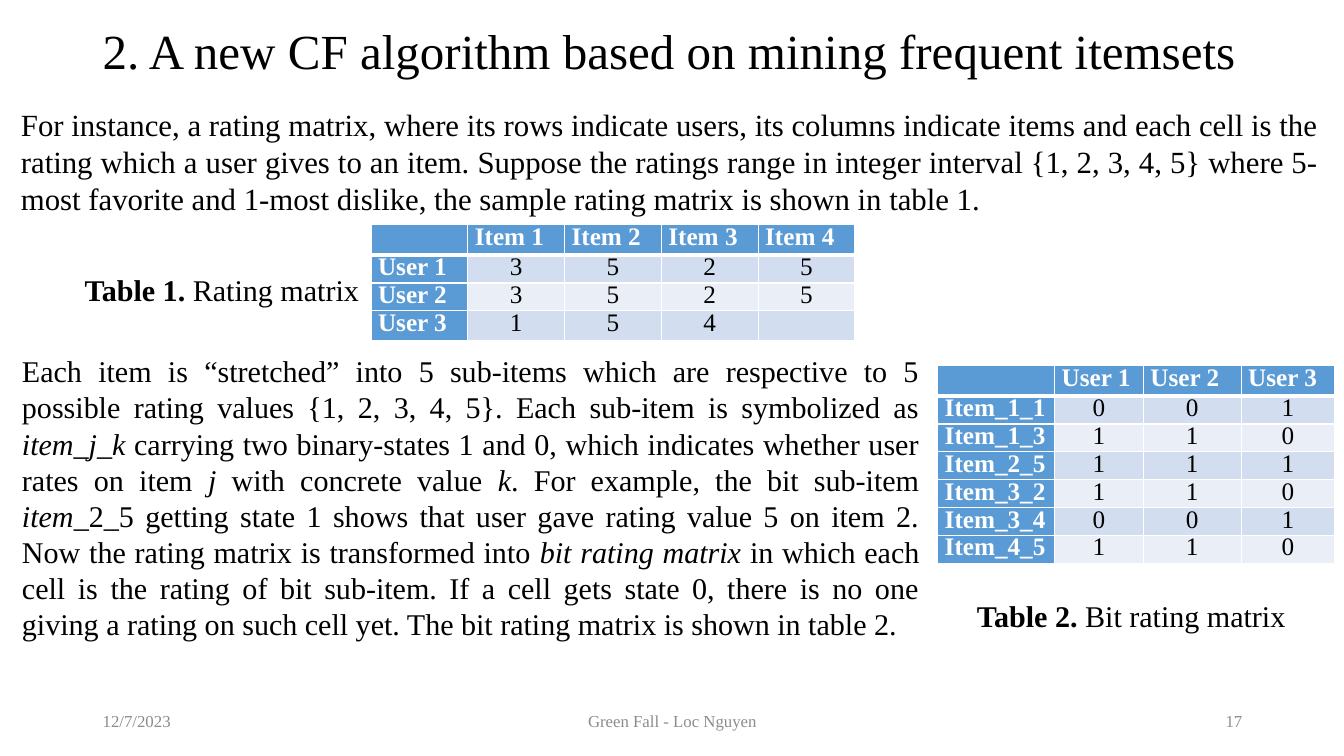
"""Build a slide on rating matrices for a collaborative filtering algorithm."""
import lxml.etree
import pptx
import pptx.dml.color
import pptx.enum.text
import pptx.oxml.ns
import pptx.util

Inches = pptx.util.Inches
Pt = pptx.util.Pt
Align = pptx.enum.text.PP_ALIGN
Anchor = pptx.enum.text.MSO_ANCHOR
qn = pptx.oxml.ns.qn
FONT = "Times New Roman"
HEADER_FILL, ODD_FILL, EVEN_FILL = "5B9BD5", "D2DEEF", "EAEFF7"
ROW_HEIGHT = 0.27


def rgb(value):
    return pptx.dml.color.RGBColor.from_string(value)


def write(frame, text, size, color="000000", align=Align.LEFT, anchor=Anchor.TOP,
          bold=False, marked="italic", spacing=1.0, wrap=True):
    """Fill a frame; parts between bars get the marked style."""
    frame.word_wrap = wrap
    frame.vertical_anchor = anchor
    para = frame.paragraphs[0]
    para.alignment = align
    para.line_spacing = spacing
    for index, part in enumerate(text.split("|")):
        if part:
            span = para.add_run()
            span.text = part
            span.font.name = FONT
            span.font.size = Pt(size)
            span.font.color.rgb = rgb(color)
            span.font.bold = bold
            if index % 2:
                setattr(span.font, marked, True)


deck = pptx.Presentation()
deck.slide_width = Inches(13.33)
deck.slide_height = Inches(7.5)
page = deck.slides.add_slide(deck.slide_layouts[6])

intro = (
    "For instance, a rating matrix, where its rows indicate users, its columns indicate items "
    "and each cell is the rating which a user gives to an item. Suppose the ratings range in "
    "integer interval {1, 2, 3, 4, 5} where 5-most favorite and 1-most dislike, the sample "
    "rating matrix is shown in table 1."
)
explanation = (
    "Each item is “stretched” into 5 sub-items which are respective to 5 possible rating values "
    "{1, 2, 3, 4, 5}. Each sub-item is symbolized as |item_j_k| carrying two binary-states 1 and "
    "0, which indicates whether user rates on item |j| with concrete value |k|. For example, the "
    "bit sub-item |item|_2_5 getting state 1 shows that user gave rating value 5 on item 2. Now "
    "the rating matrix is transformed into |bit rating matrix| in which each cell is the rating "
    "of bit sub-item. If a cell gets state 0, there is no one giving a rating on such cell yet. "
    "The bit rating matrix is shown in table 2."
)
footer = dict(size=12, color="8C8C8C", anchor=Anchor.MIDDLE)
caption = dict(size=21.5, marked="bold")

texts = [
    (0.92, 0.13, 11.5, 0.72, "2. A new CF algorithm based on mining frequent itemsets",
     dict(size=35, anchor=Anchor.MIDDLE)),
    (0.11, 1, 13.06, 5.66, intro, dict(size=22, align=Align.JUSTIFY)),
    (0.12, 3.45, 9.1, 3.39, explanation, dict(size=21.5, align=Align.JUSTIFY)),
    (0.74, 2.64, 2.94, 0.47, "|Table 1.| Rating matrix", caption),
    (9.59, 5.88, 3.3, 0.46, "|Table 2.| Bit rating matrix", dict(wrap=False, **caption)),
    (0.92, 6.95, 3, 0.4, "12/7/2023", footer),
    (4.42, 6.95, 4.5, 0.4, "Green Fall - Loc Nguyen", dict(align=Align.CENTER, **footer)),
    (9.42, 6.95, 3, 0.4, "17", dict(align=Align.RIGHT, **footer)),
]
for left, top, width, height, text, style in texts:
    box = page.shapes.add_textbox(Inches(left), Inches(top), Inches(width), Inches(height))
    write(box.text_frame, text, **style)

rating_matrix = [
    ["", "Item 1", "Item 2", "Item 3", "Item 4"],
    ["User 1", "3", "5", "2", "5"],
    ["User 2", "3", "5", "2", "5"],
    ["User 3", "1", "5", "4", ""],
]
bit_matrix = [
    ["", "User 1", "User 2", "User 3"],
    ["Item_1_1", "0", "0", "1"],
    ["Item_1_3", "1", "1", "0"],
    ["Item_2_5", "1", "1", "1"],
    ["Item_3_2", "1", "1", "0"],
    ["Item_3_4", "0", "0", "1"],
    ["Item_4_5", "1", "1", "0"],
]
tables = [
    (3.68, 2.23, [0.96] * 5, rating_matrix),
    (9.3, 3.63, [1.16, 0.88, 0.97, 0.93], bit_matrix),
]
for left, top, widths, rows in tables:
    grid = page.shapes.add_table(
        len(rows), len(widths), Inches(left), Inches(top),
        Inches(sum(widths)), Inches(ROW_HEIGHT * len(rows))).table
    for column, width in zip(grid.columns, widths):
        column.width = Inches(width)
    for r, row in enumerate(rows):
        grid.rows[r].height = Inches(ROW_HEIGHT)
        for c, text in enumerate(row):
            cell = grid.cell(r, c)
            cell.margin_left = cell.margin_right = Inches(0.07)
            cell.margin_top = cell.margin_bottom = 0
            properties = cell._tc.get_or_add_tcPr()
            for side in ("lnL", "lnR", "lnT", "lnB"):
                thick = (r == 0 and side == "lnB") or (r == 1 and side == "lnT")
                line = lxml.etree.SubElement(
                    properties, qn("a:" + side), w=str(Pt(3 if thick else 1)))
                paint = lxml.etree.SubElement(line, qn("a:solidFill"))
                lxml.etree.SubElement(paint, qn("a:srgbClr"), val="FFFFFF")
            heading = r == 0 or c == 0
            cell.fill.solid()
            cell.fill.fore_color.rgb = rgb(
                HEADER_FILL if heading else ODD_FILL if r % 2 else EVEN_FILL)
            write(cell.text_frame, text, 18, bold=heading, spacing=0.92,
                  color="FFFFFF" if heading else "000000",
                  align=Align.JUSTIFY if heading else Align.CENTER)
            if not text:
                ending = lxml.etree.SubElement(
                    cell.text_frame.paragraphs[0]._p, qn("a:endParaRPr"), sz="1800")
                lxml.etree.SubElement(ending, qn("a:latin"), typeface=FONT)

deck.save("out.pptx")
